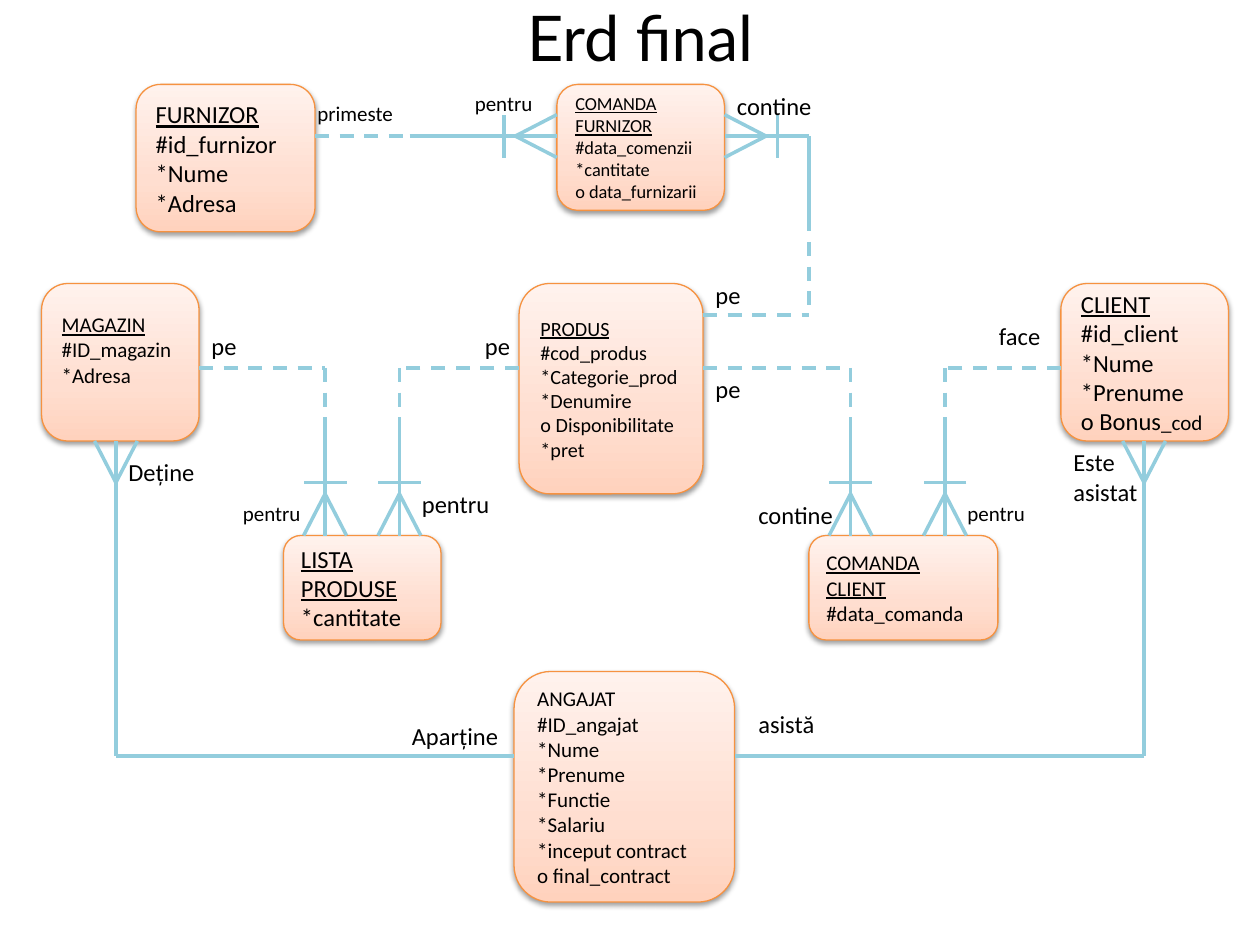
from copy import deepcopy
from lxml import etree
from pptx import Presentation
from pptx.dml.color import RGBColor as RGB
from pptx.enum.dml import MSO_LINE as Dash
from pptx.enum.shapes import MSO_CONNECTOR as Conn, MSO_SHAPE as Shape
from pptx.enum.text import MSO_ANCHOR as Anchor, PP_ALIGN as Align
from pptx.oxml.ns import qn
from pptx.util import Inches, Pt

BLACK, EDGE, LINK = "000000", "F69240", "93CDDD"
FADE = [(0, "FFD2BD"), (0.35, "FFDED0"), (1, "FFF2ED")]

BOXES = [
    (1.08, 0.67, 1.42, 1.17, 14, ["FURNIZOR", "#id_furnizor", "*Nume", "*Adresa"]),
    (8.42, 2.25, 1.33, 1.25, 14,
     ["CLIENT", "#id_client", "*Nume", "*Prenume", "o Bonus"]),
    (4.12, 2.25, 1.46, 1.67, 11.5,
     ["PRODUS", "#cod_produs", "*Categorie_prod", "*Denumire",
      "o Disponibilitate", "*pret"]),
    (0.33, 2.25, 1.25, 1.25, 12, ["MAGAZIN", "#ID_magazin", "*Adresa"]),
    (4.42, 0.67, 1.33, 1, 10.5,
     ["COMANDA FURNIZOR", "#data_comenzii", "*cantitate", "o data_furnizarii"]),
    (2.25, 4.25, 1.25, 0.83, 14, ["LISTA PRODUSE", "*cantitate"]),
    (6.42, 4.25, 1.5, 0.83, 12, ["COMANDA CLIENT", "#data_comanda"]),
    (4.08, 5.33, 1.75, 1.83, 12,
     ["ANGAJAT", "#ID_angajat", "*Nume", "*Prenume", "*Functie", "*Salariu",
      "*inceput contract", "o final_contract"]),
]

DASHED = [
    [(2.5, 1.08), (3.33, 1.08)],
    [(6.42, 1.92), (6.42, 2.5)],
    [(5.58, 2.5), (6.42, 2.5)],
    [(1.58, 2.92), (2.58, 2.92), (2.58, 3.92)],
    [(4.12, 2.92), (3.17, 2.92)],
    [(3.17, 2.92), (3.17, 3.67)],
    [(5.58, 2.92), (6.75, 2.92), (6.75, 3.92)],
    [(8.42, 2.92), (7.5, 2.92)],
    [(7.5, 2.92), (7.5, 3.67)],
]

SOLID = [
    [(3.25, 1.08), (4.42, 1.08)],
    [(5.75, 1.08), (6.42, 1.08), (6.42, 1.83)],
    [(2.58, 3.42), (2.58, 4.25)],
    [(3.17, 3.33), (3.17, 4.25)],
    [(6.75, 3.42), (6.75, 4.25)],
    [(7.5, 3.33), (7.5, 4.25)],
    [(0.92, 3.5), (0.92, 6), (4.08, 6)],
    [(9.08, 3.5), (9.08, 6), (5.83, 6)],
]

FEET = [
    (4.42, 1.08, -1, 0, True), (5.75, 1.08, 1, 0, True),
    (2.58, 4.25, 0, -1, True), (3.17, 4.25, 0, -1, True),
    (6.75, 4.25, 0, -1, True), (7.5, 4.25, 0, -1, True),
    (0.92, 3.5, 0, 1, False), (9.08, 3.5, 0, 1, False),
]

LABELS = [
    (0.92, 3.58, 1.08, 14, "Deține"), (3.17, 5.67, 1, 14, "Aparține"),
    (5.92, 5.58, 1.17, 14, "asistă"), (8.42, 3.5, 1, 14, "Este asistat"),
    (7.58, 3.92, 0.67, 12, "pentru"), (5.92, 3.92, 0.83, 14, "contine"),
    (5.58, 2.92, 0.83, 14, "pe"), (7.83, 2.5, 0.58, 14, "face"),
    (5.58, 2.17, 0.67, 14, "pe"), (5.75, 0.67, 0.83, 14, "contine"),
    (3.67, 0.67, 0.83, 12, "pentru"), (2.42, 0.75, 0.83, 12, "primeste"),
    (1.83, 3.92, 0.67, 12, "pentru"), (1.58, 2.58, 0.83, 14, "pe"),
    (3.75, 2.58, 0.75, 14, "pe"), (3.25, 3.83, 0.92, 14, "pentru"),
]


def tint(color, code):
    color.rgb = RGB.from_string(code)


def style(para, size, face="Calibri"):
    para.font.size = Pt(size)
    para.font.name = face
    tint(para.font.color, BLACK)


def shade(fill):
    fill.gradient()
    fill.gradient_angle = 90
    first = fill.gradient_stops[0]._gs
    first.addnext(deepcopy(first))
    for stop, (pos, code) in zip(fill.gradient_stops, FADE):
        stop.position = pos
        tint(stop.color, code)


def shadow(shape):
    shape.shadow.inherit = False
    glow = shape._element.spPr.find(qn("a:effectLst"))
    drop = etree.SubElement(glow, qn("a:outerShdw"), blurRad=str(Pt(3.1)),
                            dist=str(Pt(1.6)), dir="5400000", rotWithShape="0")
    color = etree.SubElement(drop, qn("a:srgbClr"), val=BLACK)
    etree.SubElement(color, qn("a:alpha"), val="38000")


def box(slide, x, y, w, h, size, lines):
    shape = slide.shapes.add_shape(Shape.ROUNDED_RECTANGLE,
                                   Inches(x), Inches(y), Inches(w), Inches(h))
    shade(shape.fill)
    tint(shape.line.color, EDGE)
    shape.line.width = Pt(0.75)
    shadow(shape)
    frame = shape.text_frame
    frame.word_wrap = True
    frame.vertical_anchor = Anchor.MIDDLE
    frame.text = "\n".join(lines)
    for para in frame.paragraphs:
        style(para, size)
        para.alignment = Align.LEFT
    frame.paragraphs[0].font.underline = lines[0] != "ANGAJAT"
    return frame


def link(slide, points, dash=False):
    for (ax, ay), (bx, by) in zip(points, points[1:]):
        line = slide.shapes.add_connector(Conn.STRAIGHT, Inches(ax), Inches(ay),
                                          Inches(bx), Inches(by))
        tint(line.line.color, LINK)
        line.line.width = Pt(2)
        if dash:
            line.line.dash_style = Dash.DASH
        etree.SubElement(line._element.spPr, qn("a:effectLst"))


def foot(slide, x, y, dx, dy, bar):
    def spot(out, side):
        return x + out * dx + side * dy, y + out * dy + side * dx

    link(slide, [spot(0, -0.17), spot(0.33, 0), spot(0, 0.17)])
    if bar:
        link(slide, [spot(0.42, -0.17), spot(0.42, 0.17)])


def label(slide, x, y, w, size, text, h=0.34, face="Calibri"):
    frame = slide.shapes.add_textbox(Inches(x), Inches(y),
                                     Inches(w), Inches(h)).text_frame
    frame.word_wrap = True
    frame.text = text
    style(frame.paragraphs[0], size, face)
    return frame


def main():
    deck = Presentation()
    deck.slide_width, deck.slide_height = Inches(10), Inches(7.5)
    slide = deck.slides.add_slide(deck.slide_layouts[6])

    frames = {item[-1][0]: box(slide, *item) for item in BOXES}
    frames["MAGAZIN"].margin_bottom = Inches(0.25)
    code = frames["CLIENT"].paragraphs[-1].add_run()
    code.text = "_cod"
    code.font.size = Pt(12)

    for points in DASHED:
        link(slide, points, True)
    for points in SOLID:
        link(slide, points)
    for item in FEET:
        foot(slide, *item)
    for item in LABELS:
        label(slide, *item)

    title = label(slide, 0.58, 0.08, 9, 36, "Erd final", 0.42, "Lato")
    title.vertical_anchor = Anchor.MIDDLE
    title.paragraphs[0].alignment = Align.CENTER
    deck.save("out.pptx")


if __name__ == "__main__":
    main()
